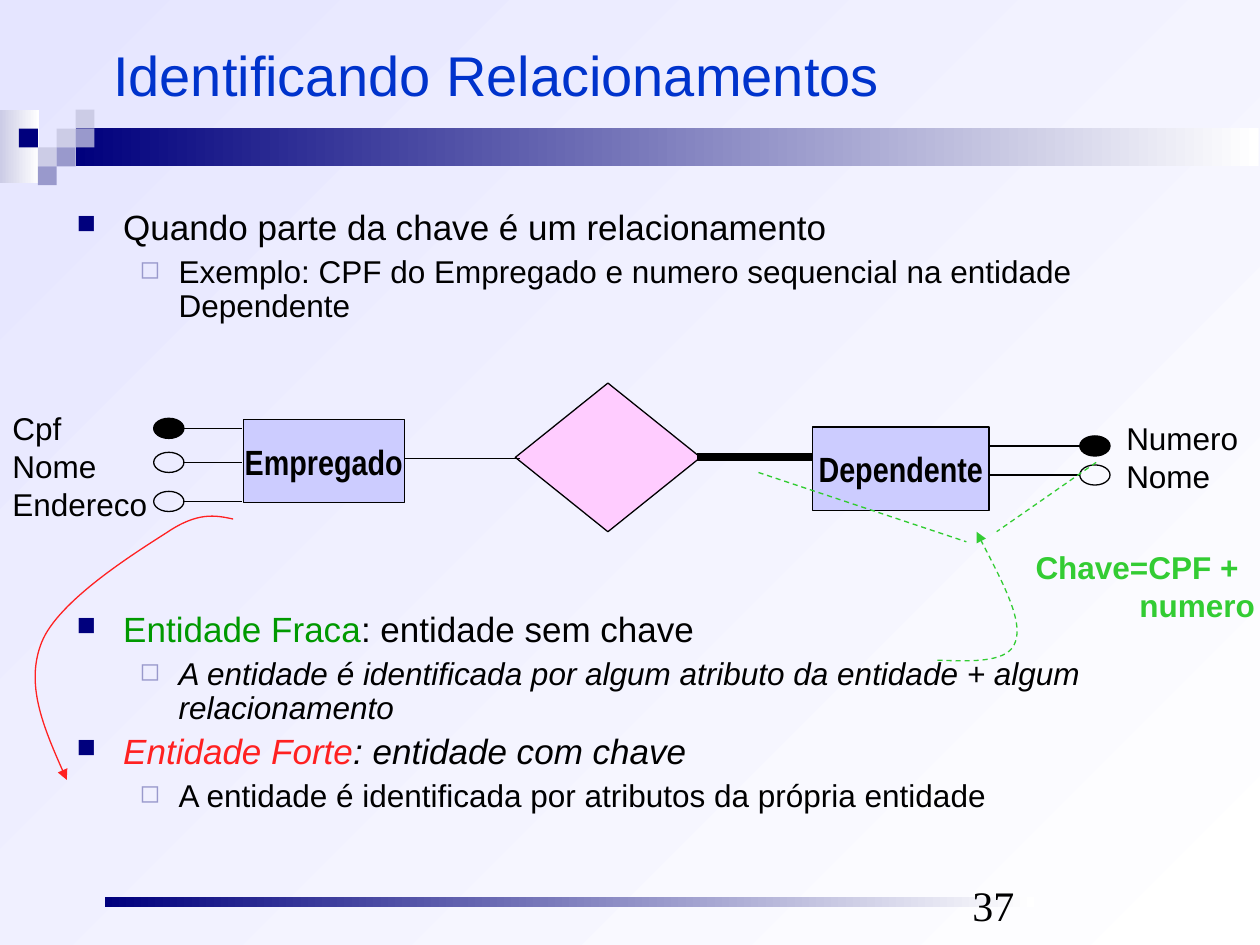
from dataclasses import dataclass

from lxml import etree
from pptx import Presentation
from pptx import util as u
from pptx.dml.color import RGBColor
from pptx.enum import dml, shapes, text
from pptx.oxml import ns


@dataclass(frozen=True)
class Theme:
    navy: str = "00007D"
    lilac: str = "9999CC"
    pale: str = "CCCCE6"
    mist: str = "E5E5FF"
    white: str = "FFFFFF"
    black: str = "000000"
    title: str = "0033CC"
    entity: str = "CCCCFF"
    relation: str = "FFCCFF"
    weak: str = "009900"
    strong: str = "FF2121"
    key: str = "33CC33"
    font: str = "Arial"
    narrow: str = "Arial Narrow"
    serif: str = "Times New Roman"
    title_size: int = 32
    number_size: int = 24
    main_size: int = 20
    sub_size: int = 18


T = Theme()
COLUMNS, ROWS = 100, 75
TILE = 1.5  # side of a decorative square, in grid cells
# Outline levels: bullet, its colour, its size in %, indent, hang, space before
LEVELS = {
    "main": ("■", T.navy, 75, 3.7, 3.7, 5, T.main_size),
    "sub": ("◻", T.lilac, 80, 8.1, 3.1, 4.5, T.sub_size),
}


def cells(*lengths):
    """Lengths on the 100 x 75 grid of tenth-inch cells."""
    return [u.Inches(length / 10) for length in lengths]


def rgb(colour):
    return RGBColor.from_string(colour)


def add_xml(parent, tag, **attributes):
    return etree.SubElement(parent, ns.qn(tag), attributes)


# --- Fills and lines ---
def fade(fill, start, end, angle):
    fill.gradient()
    fill.gradient_angle = angle
    for stop, colour in zip(fill.gradient_stops, (start, end)):
        stop.color.rgb = rgb(colour)


def stroke(line, colour=T.black, width=0.75, dashed=False, arrow=False):
    line.color.rgb = rgb(colour)
    line.width = u.Pt(width)
    if dashed:
        line.dash_style = dml.MSO_LINE.DASH
    if arrow:
        add_xml(line._get_or_add_ln(), "a:tailEnd", type="triangle")


# --- Text ---
def write(frame, runs, *, size=T.sub_size, font=T.font, colour=T.black, bold=False,
          italic=False, align=text.PP_ALIGN.LEFT, level=None):
    """Append one paragraph; runs is a string or a list of (string, colour)."""
    first = not frame.paragraphs[0].runs
    paragraph = frame.paragraphs[0] if first else frame.add_paragraph()
    paragraph.alignment = align
    properties = paragraph._p.get_or_add_pPr()
    if level:
        mark, mark_colour, percent, margin, hang, before, size = LEVELS[level]
        margin, hang = cells(margin, hang)
        properties.set("marL", str(margin))
        properties.set("indent", str(-hang))
        add_xml(add_xml(properties, "a:buClr"), "a:srgbClr", val=mark_colour)
        add_xml(properties, "a:buSzPct", val=str(percent * 1000))
        add_xml(properties, "a:buChar", char=mark)
        paragraph.line_spacing = 0.9
        paragraph.space_before = u.Pt(0 if first else before)
    for words, run_colour in [(runs, colour)] if isinstance(runs, str) else runs:
        run = paragraph.add_run()
        run.text = words
        run.font.name, run.font.size = font, u.Pt(size)
        run.font.bold, run.font.italic = bold, italic
        run.font.color.rgb = rgb(run_colour)


def text_area(slide, *box, anchor=text.MSO_ANCHOR.TOP, wrap=True):
    frame = slide.shapes.add_textbox(*cells(*box)).text_frame
    frame.word_wrap, frame.vertical_anchor = wrap, anchor
    return frame


# --- Diagram elements ---
def block(slide, kind, *box, fill=None, outlined=True):
    shape = slide.shapes.add_shape(kind, *cells(*box))
    shape.shadow.inherit = False
    if isinstance(fill, tuple):
        fade(shape.fill, *fill, 180)
    elif fill:
        shape.fill.solid()
        shape.fill.fore_color.rgb = rgb(fill)
    else:
        shape.fill.background()
    if outlined:
        stroke(shape.line)
    else:
        shape.line.fill.background()
    return shape


def link(slide, *ends, **style):
    connector = slide.shapes.add_connector(shapes.MSO_CONNECTOR.STRAIGHT, *cells(*ends))
    stroke(connector.line, **style)
    add_xml(connector._element.spPr, "a:effectLst")


def curve(slide, points, **style):
    """Cubic curve: a start point, then three points for each segment."""
    start, *rest = [cells(*point) for point in points]
    builder = slide.shapes.build_freeform(*start)
    builder.add_line_segments(rest, close=False)
    arc = builder.convert_to_shape()
    arc.shadow.inherit = False
    arc.fill.background()
    stroke(arc.line, arrow=True, **style)
    path = arc._element.find(".//" + ns.qn("a:path"))
    steps = path.findall(ns.qn("a:lnTo"))
    for i in range(0, len(steps), 3):
        bezier = add_xml(path, "a:cubicBezTo")
        for step in steps[i:i + 3]:
            bezier.append(step[0])
            path.remove(step)


def entity(slide, name, *box):
    frame = block(slide, shapes.MSO_SHAPE.RECTANGLE, *box, fill=T.entity).text_frame
    frame.word_wrap, frame.vertical_anchor = False, text.MSO_ANCHOR.MIDDLE
    write(frame, name, size=T.main_size, font=T.narrow, bold=True,
          align=text.PP_ALIGN.CENTER)


def attribute(slide, left, top, line_from, line_to, key=False):
    block(slide, shapes.MSO_SHAPE.OVAL, left, top, 2.4, 1.6, fill=T.black if key else None)
    link(slide, line_from, top + 0.8, line_to, top + 0.8)


# --- Parts of the slide ---
def decorate(slide):
    fade(slide.background.fill, T.white, T.mist, 135)
    bar = shapes.MSO_SHAPE.RECTANGLE
    block(slide, bar, 0, 8.7, 3.1, 5.8, fill=(T.white, T.pale), outlined=False)
    block(slide, bar, 6, 10.2, 93.9, 3, fill=(T.white, T.navy), outlined=False)
    block(slide, bar, 8.3, 71.2, 73.8, 0.8, fill=(T.white, T.navy), outlined=False)
    tiles = [(3, 1, T.pale), (4, 0, T.pale), (4, 1, T.lilac), (2, 2, T.pale),
             (1, 1, T.navy), (3, 2, T.lilac), (2, 3, T.lilac)]
    for column, row, colour in tiles:
        block(slide, bar, column * TILE, 8.7 + row * TILE, TILE, TILE,
              fill=colour, outlined=False)


def add_outline(slide):
    title = text_area(slide, 8, 1.3, 90, 9.1, anchor=text.MSO_ANCHOR.MIDDLE)
    write(title, "Identificando Relacionamentos", size=T.title_size, colour=T.title)
    case = text_area(slide, 5.1, 16.2, 90, 11)
    write(case, "Quando parte da chave é um relacionamento", level="main")
    write(case, "Exemplo: CPF do Empregado e numero sequencial na entidade Dependente",
          level="sub")
    kinds = text_area(slide, 5.1, 48.1, 90, 18.5)
    write(kinds, [("Entidade Fraca", T.weak), (": entidade sem chave", T.black)], level="main")
    write(kinds, "A entidade é identificada por algum atributo da entidade + algum "
          "relacionamento", level="sub", italic=True)
    write(kinds, [("Entidade Forte", T.strong), (": entidade com chave", T.black)],
          level="main", italic=True)
    write(kinds, "A entidade é identificada por atributos da própria entidade", level="sub")
    number = text_area(slide, 76.2, 69.3, 23.3, 5, anchor=text.MSO_ANCHOR.BOTTOM)
    write(number, "37", size=T.number_size, font=T.serif)


def add_diagram(slide):
    entity(slide, "Empregado", 19.3, 33.3, 12.8, 6.6)
    entity(slide, "Dependente", 64.5, 33.9, 14, 6.6)
    block(slide, shapes.MSO_SHAPE.FLOWCHART_DECISION, 40.9, 30.4, 14.7, 11.8, fill=T.relation)
    link(slide, 32.1, 36.4, 41.3, 36.4)
    link(slide, 55.3, 36.3, 64.5, 36.3, width=4.5)
    # Attributes and their names
    for top, key in ((33.2, True), (35.9, False), (39, False)):
        attribute(slide, 12.2, top, 14.5, 19.2, key)
    for top, key in ((34.6, True), (36.9, False)):
        attribute(slide, 85.7, top, 78.5, 85.7, key)
    for names, box in ((("Cpf", "Nome", "Endereco"), (0, 32, 12.7, 10)),
                       (("Numero", "Nome"), (88.4, 32.8, 10.9, 7))):
        labels = text_area(slide, *box, wrap=False)
        for name in names:
            write(labels, name)
    # Composite key of the weak entity
    formula = text_area(slide, 81.2, 43, 18.8, 7)
    formula.margin_right = cells(0.4)[0]
    write(formula, "Chave=CPF +", colour=T.key, bold=True)
    write(formula, "numero", colour=T.key, bold=True, align=text.PP_ALIGN.RIGHT)
    link(slide, 60.2, 37.5, 76.7, 43, colour=T.key, dashed=True)
    link(slide, 87, 36.7, 79.1, 42.2, colour=T.key, dashed=True)
    curve(slide, [(74.4, 52.4), (77.3, 52.5), (80.1, 52.6), (80.6, 50.9),
                  (81.2, 49.2), (79.3, 45.7), (77.5, 42.2)], colour=T.key, dashed=True)
    # Pointer to the strong entity
    curve(slide, [(18.5, 41.2), (17.1, 40.9), (15.7, 40.6), (13.2, 42.3), (10.7, 43.9),
                  (4.6, 47.7), (3.3, 51), (2, 54.3), (3.6, 58.1), (5.3, 61.9)],
          colour=T.strong)


def main():
    deck = Presentation()
    deck.slide_width, deck.slide_height = cells(COLUMNS, ROWS)
    slide = deck.slides.add_slide(deck.slide_layouts[6])
    decorate(slide)
    add_outline(slide)
    add_diagram(slide)
    deck.save("out.pptx")


if __name__ == "__main__":
    main()
